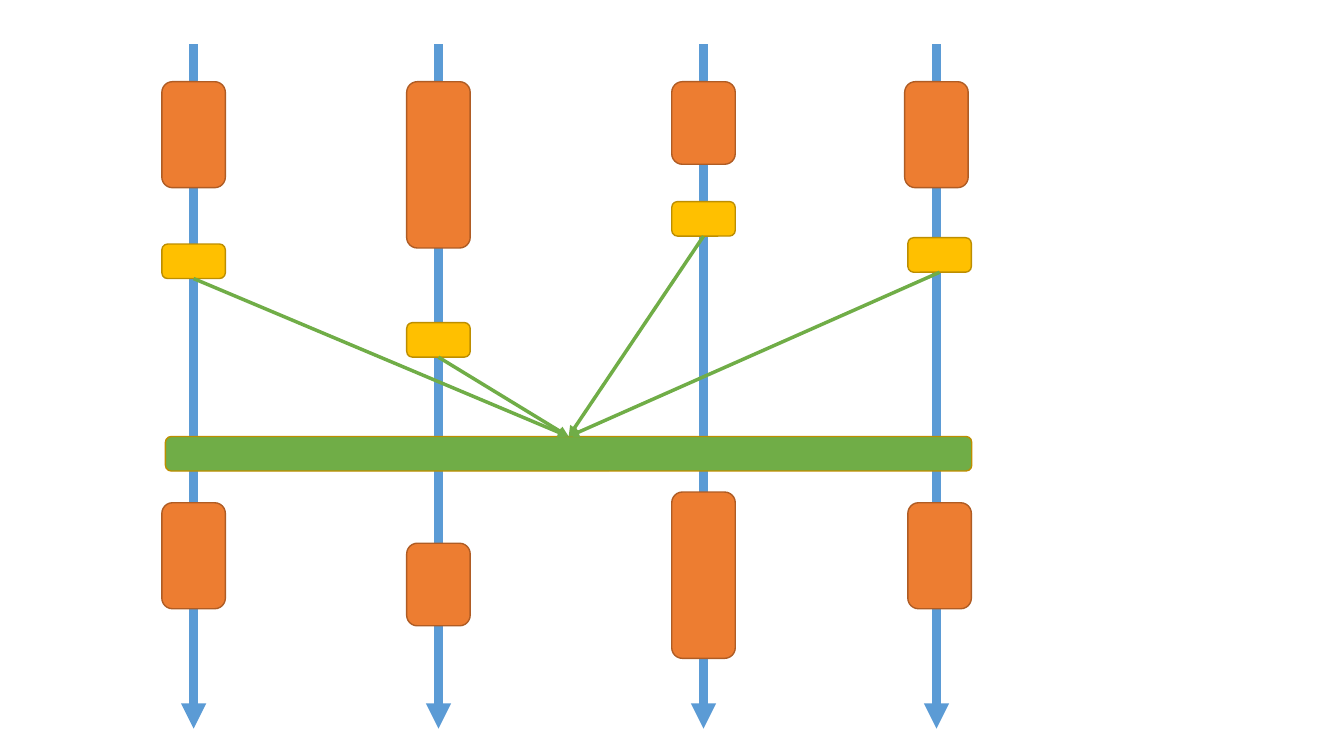
from lxml import etree
from pptx import Presentation
from pptx.dml.color import RGBColor
from pptx.enum.shapes import MSO_CONNECTOR, MSO_SHAPE
from pptx.oxml.ns import qn
from pptx.util import Cm, Pt

ROUND = MSO_SHAPE.ROUNDED_RECTANGLE
STRAIGHT = MSO_CONNECTOR.STRAIGHT

COLORS = {
    "lane": "5B9BD5",
    "work": "ED7D31",
    "work_edge": "AF5C24",
    "wait": "FFC000",
    "wait_edge": "BD8E00",
    "sync": "70AD47",
}
BOX_WIDTH = 1.6
WAIT_HEIGHT = 0.87
LANE_TOP, LANE_END = 1.12, 18.36
WORK_TOP = 2.06
BAR_LEFT, BAR_TOP, BAR_WIDTH = 4.17, 11, 20.32
SHORT, MEDIUM, LONG = 2.08, 2.67, 4.19

LANES = [
    {"x": 4.88, "end_x": 4.88, "first": MEDIUM, "wait": 6.15, "next": (12.67, MEDIUM)},
    {"x": 11.05, "end_x": 11.05, "first": LONG, "wait": 8.13, "next": (13.69, SHORT)},
    {"x": 17.73, "end_x": 17.73, "first": SHORT, "wait": 5.08, "next": (12.4, LONG)},
    {"x": 23.6, "end_x": 23.68, "first": MEDIUM, "wait": 5.99, "next": (12.67, MEDIUM)},
]


class Painter:
    def __init__(self, slide, colors):
        self.slide = slide
        self.colors = colors

    def color(self, name):
        return RGBColor.from_string(self.colors[name])

    def stroke(self, line, color, width):
        line.fill.solid()
        values = {
            (line.color, "rgb"): self.color(color),
            (line, "width"): Pt(width),
        }
        for (target, name), value in values.items():
            setattr(target, name, value)

    def box(self, left, top, width, height, fill, edge):
        shape = self.slide.shapes.add_shape(
            ROUND, Cm(left), Cm(top), Cm(width), Cm(height)
        )
        shape.fill.solid()
        values = {
            (shape.fill.fore_color, "rgb"): self.color(fill),
            (shape.shadow, "inherit"): False,
        }
        for (target, name), value in values.items():
            setattr(target, name, value)
        self.stroke(shape.line, edge, 1)

    def work(self, x, top, height):
        self.box(x - BOX_WIDTH / 2, top, BOX_WIDTH, height, "work", "work_edge")

    def wait(self, x, top):
        self.box(x - BOX_WIDTH / 2, top, BOX_WIDTH, WAIT_HEIGHT, "wait", "wait_edge")

    def arrow(self, start, end, color, width):
        link = self.slide.shapes.add_connector(
            STRAIGHT, *(Cm(value) for value in (*start, *end))
        )
        self.stroke(link.line, color, width)
        props = link.line._get_or_add_ln()
        etree.SubElement(props, qn("a:tailEnd"), type="triangle")
        etree.SubElement(link._element.spPr, qn("a:effectLst"))


def main():
    deck = Presentation()
    deck.slide_width, deck.slide_height = Cm(33.87), Cm(19.05)
    slide = deck.slides.add_slide(deck.slide_layouts[6])
    paint = Painter(slide, COLORS)

    for lane in LANES:
        paint.arrow((lane["x"], LANE_TOP), (lane["x"], LANE_END), "lane", 6)
        paint.work(lane["x"], WORK_TOP, lane["first"])
        paint.wait(lane["end_x"], lane["wait"])

    paint.box(BAR_LEFT, BAR_TOP, BAR_WIDTH, WAIT_HEIGHT, "sync", "wait_edge")

    for lane in LANES:
        paint.work(lane["end_x"], *lane["next"])

    target = (BAR_LEFT + BAR_WIDTH / 2, BAR_TOP)
    for lane in LANES:
        start = (lane["end_x"], lane["wait"] + WAIT_HEIGHT)
        paint.arrow(start, target, "sync", 2.5)

    deck.save("out.pptx")


if __name__ == "__main__":
    main()
